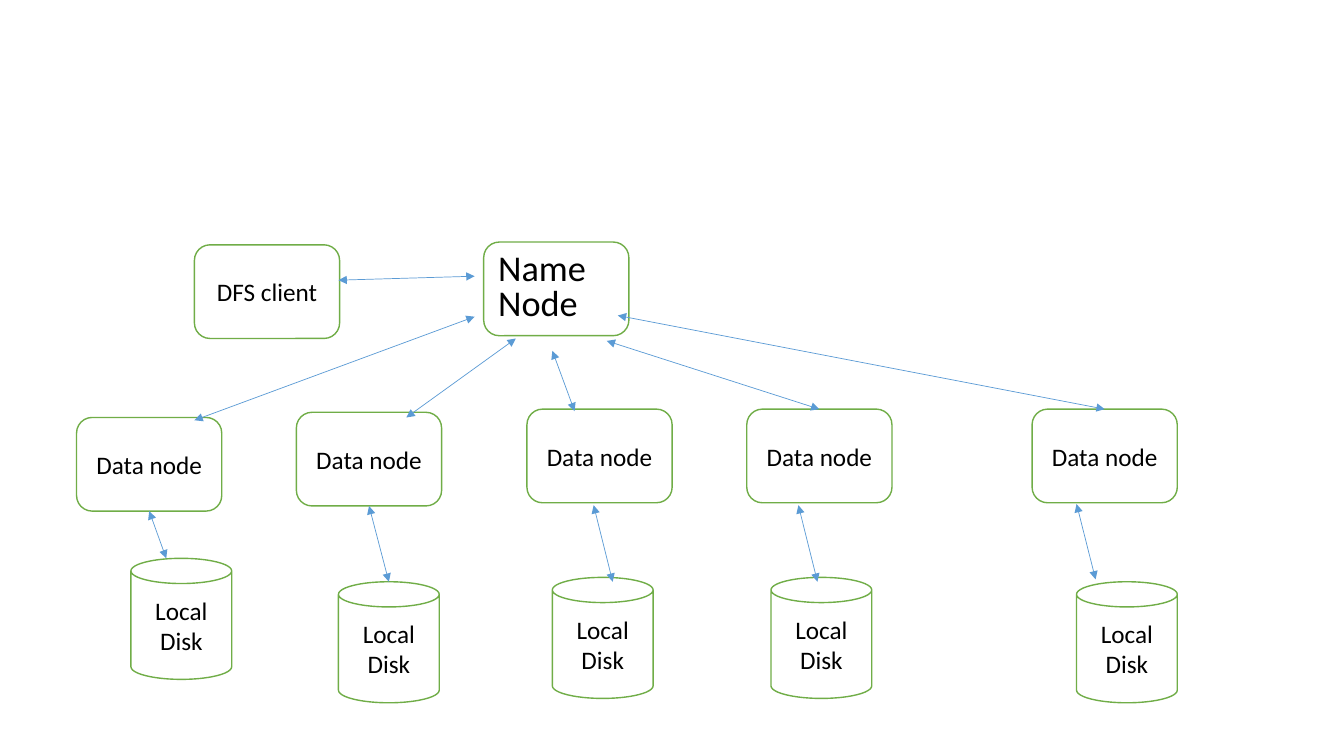
from pptx import Presentation
from pptx.dml.color import RGBColor
from pptx.enum.shapes import MSO_CONNECTOR as Connector, MSO_SHAPE as Shape
from pptx.enum.text import MSO_ANCHOR as Anchor, PP_ALIGN as Align
from pptx.oxml.ns import qn
from pptx.util import Cm, Pt
from lxml.etree import SubElement

COLORS = {"fill": "FFFFFF", "outline": "70AD47", "text": "000000", "arrow": "5B9BD5"}
NODE_SIZE = (3.66, 2.36)
DISK_SIZE = (2.54, 3.05)
CENTERED = {"alignment": Align.CENTER}
NAME_FORMAT = {"alignment": Align.LEFT, "line_spacing": 0.8, "space_before": Pt(10)}

DATA_NODES = [(1.93, 10.52), (7.47, 10.39), (13.28, 10.31), (18.82, 10.31), (26.01, 10.31)]
LOCAL_DISKS = [(3.3, 14.07), (8.53, 14.66), (13.92, 14.55), (19.43, 14.55), (27.13, 14.66)]
DISK_ARROWS = [
    (3.76, 12.88, 4.19, 14.07),
    (9.3, 12.75, 9.8, 14.66),
    (14.96, 12.73, 15.44, 14.66),
    (20.12, 12.73, 20.6, 14.66),
    (27.13, 12.7, 27.61, 14.6),
]
NAME_NODE_ARROWS = [
    (8.53, 7.06, 11.96, 6.96),
    (11.96, 7.98, 4.9, 10.59),
    (13, 8.53, 10.24, 10.52),
    (13.92, 8.84, 14.48, 10.36),
    (15.29, 8.59, 20.65, 10.31),
    (15.57, 7.95, 27.84, 10.31),
]


def color(name):
    """Return the named colour."""
    return RGBColor.from_string(COLORS[name])


def apply_format(target, values):
    """Set each format value on the target."""
    for name, value in values.items():
        setattr(target, name, value)


def add_box(slide, kind, position, size, text, font_size=18, paragraph_format=CENTERED):
    """Add an outlined shape with text."""
    shape = slide.shapes.add_shape(kind, *map(Cm, position + size))
    shape.shadow.inherit = False
    shape.fill.solid()
    shape.fill.fore_color.rgb = color("fill")
    shape.line.color.rgb = color("outline")
    shape.line.width = Pt(1)
    apply_format(shape.text_frame, {"word_wrap": True, "vertical_anchor": Anchor.MIDDLE})
    paragraph = shape.text_frame.paragraphs[0]
    apply_format(paragraph, paragraph_format)
    run = paragraph.add_run()
    run.text = text
    apply_format(run.font, {"name": "Calibri", "size": Pt(font_size)})
    run.font.color.rgb = color("text")


def add_arrow(slide, ends):
    """Add a thin line with an arrowhead at each end."""
    connector = slide.shapes.add_connector(Connector.STRAIGHT, *map(Cm, ends))
    connector.line.color.rgb = color("arrow")
    connector.line.width = Pt(0.5)
    line = connector.line._get_or_add_ln()
    for tag in ("a:headEnd", "a:tailEnd"):
        SubElement(line, qn(tag), type="triangle")
    SubElement(connector._element.spPr, qn("a:effectLst"))


def main():
    """Build the cluster diagram."""
    presentation = Presentation()
    apply_format(presentation, {"slide_width": Cm(33.87), "slide_height": Cm(19.05)})
    slide = presentation.slides.add_slide(presentation.slide_layouts[6])
    add_box(slide, Shape.ROUNDED_RECTANGLE, (4.9, 6.17), NODE_SIZE, "DFS client")
    add_box(slide, Shape.ROUNDED_RECTANGLE, (12.19, 6.1), NODE_SIZE, "Name Node", 25.9, NAME_FORMAT)
    for position in DATA_NODES:
        add_box(slide, Shape.ROUNDED_RECTANGLE, position, NODE_SIZE, "Data node")
    for position in LOCAL_DISKS:
        add_box(slide, Shape.CAN, position, DISK_SIZE, "Local Disk")
    for ends in DISK_ARROWS + NAME_NODE_ARROWS:
        add_arrow(slide, ends)
    presentation.save("out.pptx")


if __name__ == "__main__":
    main()
